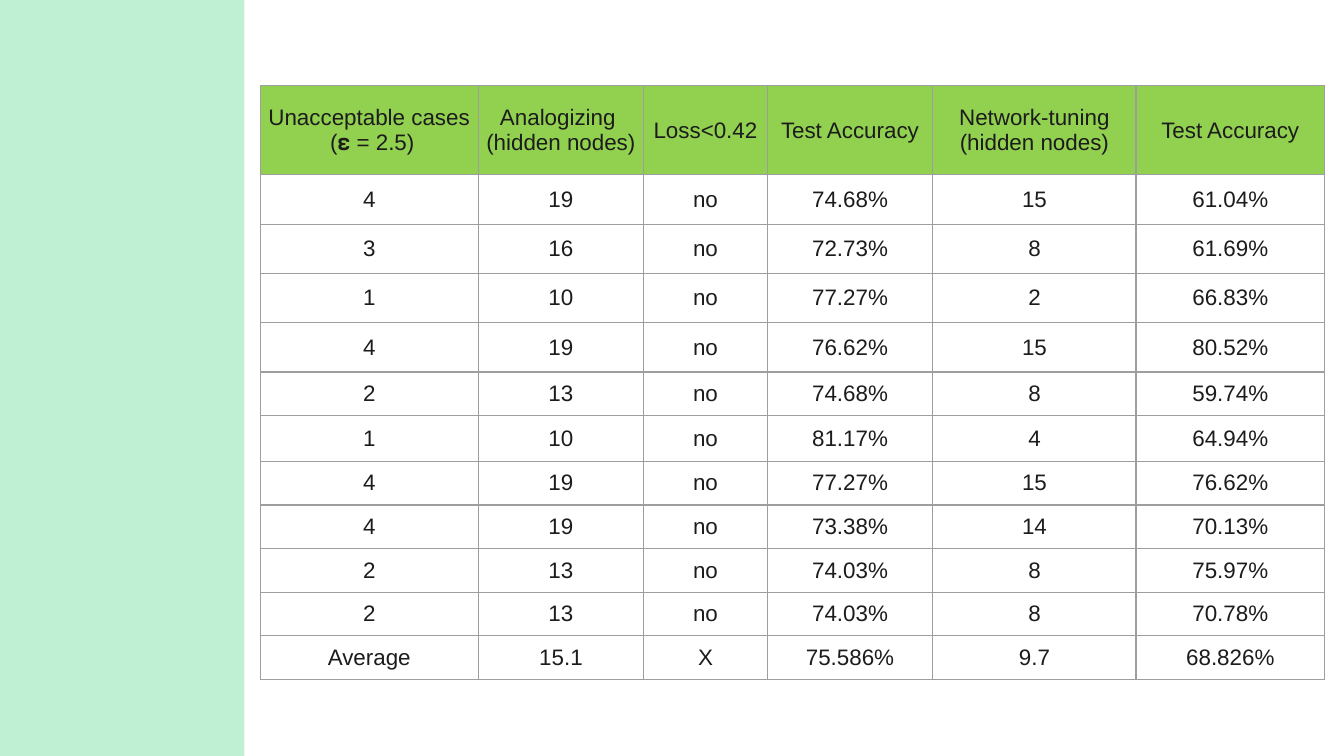
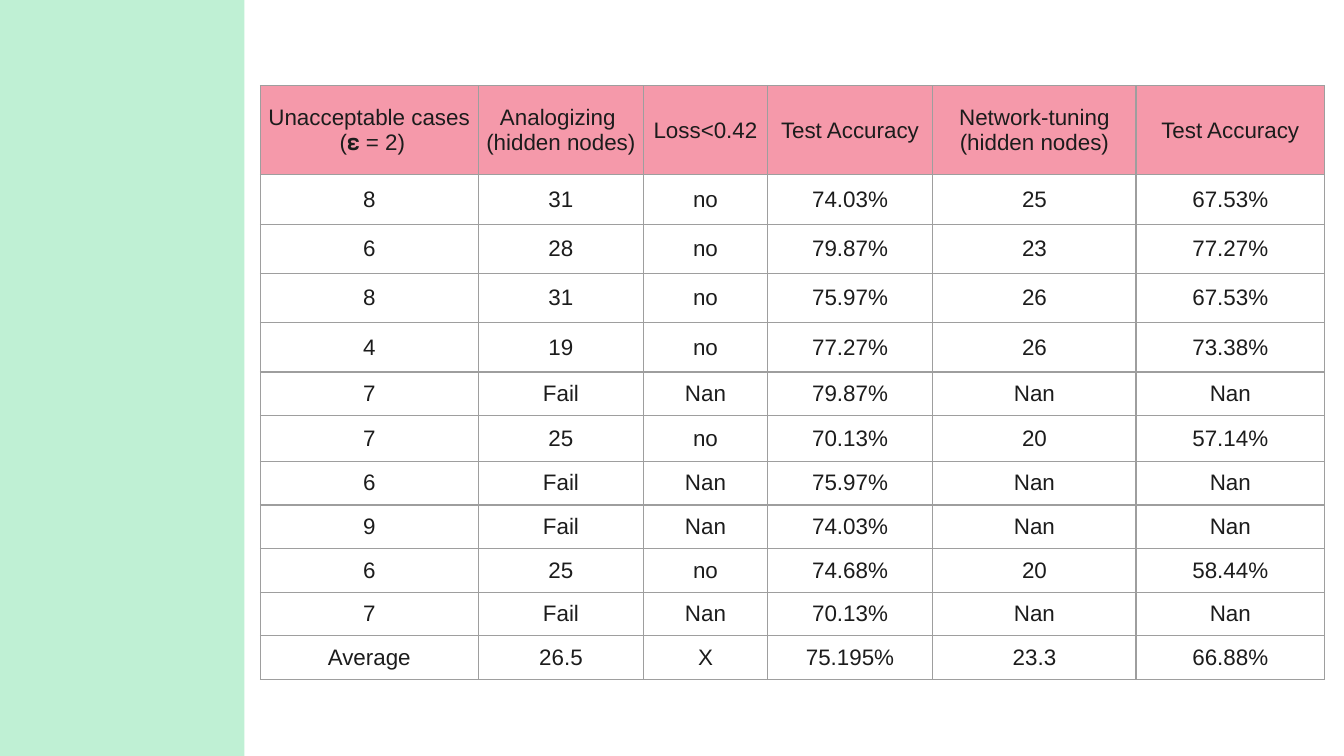
from dataclasses import dataclass

from lxml import etree
from pptx import Presentation
from pptx import util as u
from pptx.dml.color import RGBColor
from pptx.enum import shapes, text
from pptx.oxml import ns

Pt = u.Pt


@dataclass(frozen=True)
class Theme:
    font: str = "Arial"
    size: float = 12
    ink: str = "1C1C1C"
    band: str = "BFF0D4"
    rule: str = "9E9E9E"
    rule_width: float = 0.75
    green: str = "92D050"
    pink: str = "F599AA"


THEME = Theme()
PAGE_SIZE = (720, 405)

# Table geometry, in points
TABLE_ORIGIN = (139.5, 46)
COLUMN_WIDTHS = [116.7, 88.7, 66.2, 88.7, 108.9, 101]
ROW_HEIGHTS = [47.7] + [26.4] * 4 + [23.4, 24.5] + [23.4] * 5


def write_text(frame, content, *, size=THEME.size, font=THEME.font,
               color=THEME.ink, align=text.PP_ALIGN.CENTER):
    """Write one paragraph for each line of content."""
    for index, line in enumerate(content.split("\n")):
        para = frame.paragraphs[0] if index == 0 else frame.add_paragraph()
        para.alignment = align
        span = para.add_run()
        span.text = line
        span.font.size = Pt(size)
        span.font.name = font
        span.font.color.rgb = RGBColor.from_string(color)


class Report:
    """Holds the deck, its style and the current page."""

    def __init__(self, theme):
        self.theme = theme
        self.deck = Presentation()
        self.deck.slide_width, self.deck.slide_height = map(Pt, PAGE_SIZE)
        self.page = None

    def add_page(self):
        self.page = self.deck.slides.add_slide(self.deck.slide_layouts[6])
        self.add_band(-30, -24.5, 161, 460)

    def add_band(self, left, top, width, height):
        box = self.page.shapes.add_shape(
            shapes.MSO_SHAPE.RECTANGLE, *map(Pt, (left, top, width, height)))
        box.shadow.inherit = False
        box.fill.solid()
        box.fill.fore_color.rgb = RGBColor.from_string(self.theme.band)
        box.line.fill.background()

    def add_table(self, rows, header_fill):
        size = (sum(COLUMN_WIDTHS), sum(ROW_HEIGHTS))
        table = self.page.shapes.add_table(
            len(rows), len(COLUMN_WIDTHS), *map(Pt, TABLE_ORIGIN + size)).table
        table.horz_banding = table.first_row = False
        for column, width in zip(table.columns, COLUMN_WIDTHS):
            column.width = Pt(width)
        for index, (row, height) in enumerate(zip(table.rows, ROW_HEIGHTS)):
            row.height = Pt(height)
            for cell, content in zip(row.cells, rows[index]):
                self.fill_cell(cell, content, None if index else header_fill)

    def fill_cell(self, cell, content, fill):
        cell.margin_left = cell.margin_right = Pt(2.7)
        cell.margin_top = cell.margin_bottom = Pt(1.35)
        cell.vertical_anchor = text.MSO_ANCHOR.MIDDLE
        write_text(cell.text_frame, content)
        self.add_borders(cell)
        if fill:
            cell.fill.solid()
            cell.fill.fore_color.rgb = RGBColor.from_string(fill)
        else:
            cell.fill.background()

    def add_borders(self, cell):
        properties = cell._tc.get_or_add_tcPr()
        for side in ("lnL", "lnR", "lnT", "lnB"):
            line = etree.SubElement(properties, ns.qn(f"a:{side}"),
                                    w=str(Pt(self.theme.rule_width)))
            solid = etree.SubElement(line, ns.qn("a:solidFill"))
            etree.SubElement(solid, ns.qn("a:srgbClr"), val=self.theme.rule)


def header(epsilon):
    return [f"Unacceptable cases\n (𝛆 = {epsilon})",
            "Analogizing \n(hidden nodes)", "Loss<0.42", "Test Accuracy",
            "Network-tuning\n(hidden nodes)", "Test Accuracy"]


# Results: cases, analogizing nodes, loss, accuracy, tuned nodes, accuracy
RESULTS_WIDE = """
4 19 no 74.68% 15 61.04%
3 16 no 72.73% 8 61.69%
1 10 no 77.27% 2 66.83%
4 19 no 76.62% 15 80.52%
2 13 no 74.68% 8 59.74%
1 10 no 81.17% 4 64.94%
4 19 no 77.27% 15 76.62%
4 19 no 73.38% 14 70.13%
2 13 no 74.03% 8 75.97%
2 13 no 74.03% 8 70.78%
Average 15.1 X 75.586% 9.7 68.826%
"""
RESULTS_NARROW = """
8 31 no 74.03% 25 67.53%
6 28 no 79.87% 23 77.27%
8 31 no 75.97% 26 67.53%
4 19 no 77.27% 26 73.38%
7 Fail Nan 79.87% Nan Nan
7 25 no 70.13% 20 57.14%
6 Fail Nan 75.97% Nan Nan
9 Fail Nan 74.03% Nan Nan
6 25 no 74.68% 20 58.44%
7 Fail Nan 70.13% Nan Nan
Average 26.5 X 75.195% 23.3 66.88%
"""


def main():
    report = Report(THEME)
    for epsilon, results, fill in (("2.5", RESULTS_WIDE, THEME.green),
                                   ("2", RESULTS_NARROW, THEME.pink)):
        report.add_page()
        rows = [line.split() for line in results.strip().splitlines()]
        report.add_table([header(epsilon)] + rows, fill)
    report.deck.save("out.pptx")


if __name__ == "__main__":
    main()
